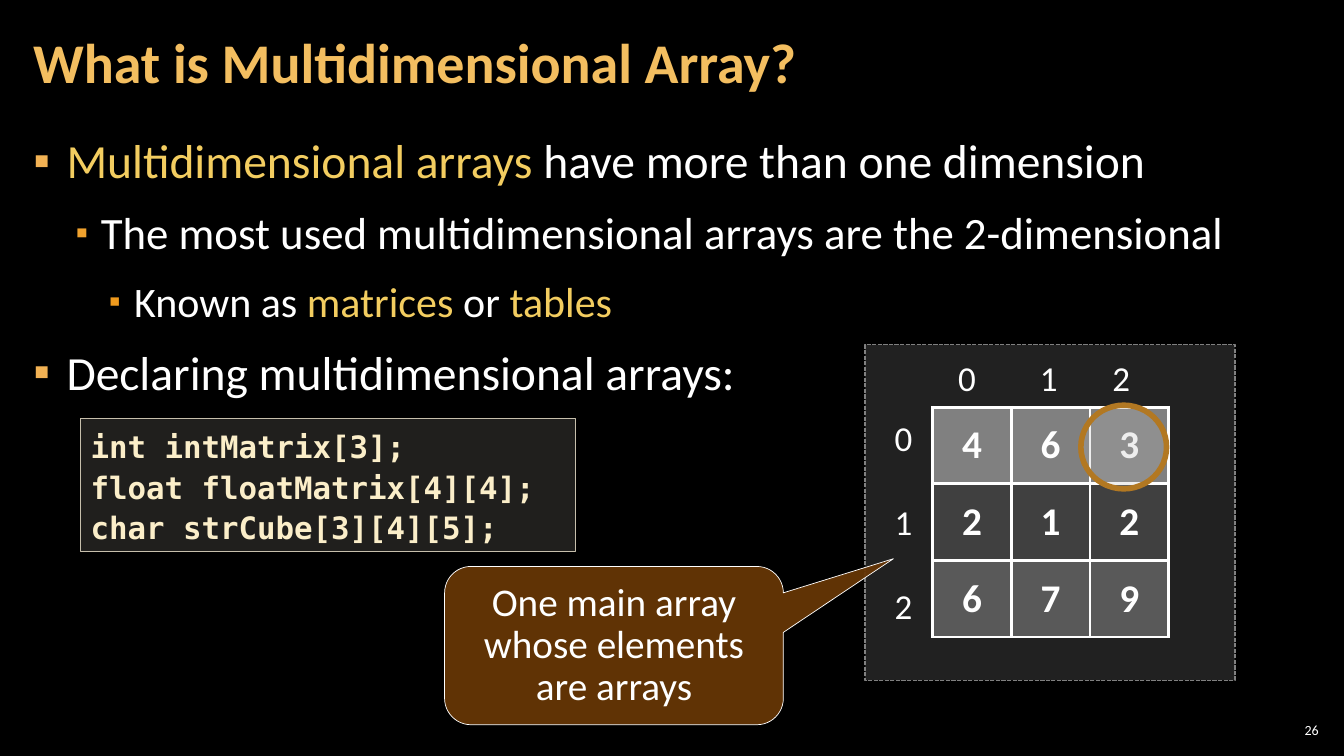
from lxml import etree
from pptx import Presentation
from pptx.dml.color import RGBColor
from pptx.enum.dml import MSO_LINE
from pptx.enum.shapes import MSO_SHAPE
from pptx.enum.text import MSO_ANCHOR, PP_ALIGN
from pptx.oxml import parse_xml
from pptx.oxml.ns import nsdecls, qn
from pptx.util import Inches, Pt

LEFT, CENTER, RIGHT = PP_ALIGN.LEFT, PP_ALIGN.CENTER, PP_ALIGN.RIGHT
TOP, MIDDLE = MSO_ANCHOR.TOP, MSO_ANCHOR.MIDDLE
WHITE, YELLOW = "FFFFFF", "F3CD60"


def rgb(color):
    return RGBColor.from_string(color)


def write(shape, lines, size, color=WHITE, font="Calibri", bold=False, align=LEFT,
          anchor=MIDDLE, inset=(0.1, 0.05), spacing=None):
    """Fill a shape; each line is a list of (text, color or None) runs."""
    frame = shape.text_frame
    frame.word_wrap = True
    frame.vertical_anchor = anchor
    frame.margin_left = frame.margin_right = Inches(inset[0])
    frame.margin_top = frame.margin_bottom = Inches(inset[1])
    for i, line in enumerate(lines):
        paragraph = frame.paragraphs[0] if i == 0 else frame.add_paragraph()
        paragraph.alignment = align
        if spacing:
            paragraph.line_spacing = spacing
        for text, run_color in line:
            run = paragraph.add_run()
            run.text = text
            run.font.name, run.font.size, run.font.bold = font, Pt(size), bold
            run.font.color.rgb = rgb(run_color or color)
    return frame


prs = Presentation()
prs.slide_width, prs.slide_height = Inches(13.33), Inches(7.5)
slide = prs.slides.add_slide(prs.slide_layouts[6])
slide.background.fill.solid()
slide.background.fill.fore_color.rgb = rgb("000000")
shapes = slide.shapes

# Title and slide number
title = shapes.add_textbox(Inches(0.21), Inches(0.04), Inches(10.47), Inches(1.21))
write(title, [[("What is Multidimensional Array?", "F3BE60")]], 40, bold=True,
      inset=(0.12, 0.04), spacing=0.9)
page_number = shapes.add_textbox(Inches(12.65), Inches(7.14), Inches(0.47), Inches(0.21))
write(page_number, [[("26", None)]], 10, align=RIGHT, inset=(0.04, 0.04))

# Bullet list
LEVELS = [  # left margin, hanging indent, bullet color, bullet percent, text size
    (0.33, 0.33, "F2B254", 100, 34),
    (0.67, 0.25, "F0A22E", 80, 32),
    (1.00, 0.25, "EF9A1D", 80, 30),
]
BULLETS = [
    (0, [("Multidimensional arrays", YELLOW), (" have more than one dimension", None)]),
    (1, [("The most used multidimensional arrays are the 2-dimensional", None)]),
    (2, [("Known as ", None), ("matrices", YELLOW), (" or ", None), ("tables", YELLOW)]),
    (0, [("Declaring multidimensional arrays:", None)]),
]
body = shapes.add_textbox(Inches(0.21), Inches(1.26), Inches(12.91), Inches(6.09))
body_frame = write(body, [runs for _, runs in BULLETS], 34, anchor=TOP, inset=(0.12, 0.04))
for i, (paragraph, (level, _)) in enumerate(zip(body_frame.paragraphs, BULLETS)):
    margin, hanging, bullet_color, percent, size = LEVELS[level]
    paragraph.level = level
    paragraph.space_after = Pt(6)
    if i:
        paragraph.space_before = Pt(6)
    props = paragraph._p.get_or_add_pPr()
    props.set("marL", str(Inches(margin)))
    props.set("indent", str(-Inches(hanging)))
    bullet_clr = etree.SubElement(props, qn("a:buClr"))
    etree.SubElement(bullet_clr, qn("a:srgbClr"), val=bullet_color)
    etree.SubElement(props, qn("a:buSzPct"), val=str(percent * 1000))
    etree.SubElement(props, qn("a:buFont"), typeface="Arial")
    etree.SubElement(props, qn("a:buChar"), char="▪")
    for run in paragraph.runs:
        run.font.size = Pt(size)

# Matrix panel, callout, matrix, highlight ring and code box
PANELS = {  # preset, box, fill, opacity percent, line color, line width
    "panel": (MSO_SHAPE.RECTANGLE, (8.58, 3.42, 3.67, 3.33), "A6A6A6", 20, "808080", 1),
    "callout": (MSO_SHAPE.ROUNDED_RECTANGULAR_CALLOUT, (4.41, 5.62, 3.36, 1.57),
                "663606", 95, WHITE, 0.5),
    "matrix": None,
    "ring": (MSO_SHAPE.OVAL, (10.72, 4.02, 0.85, 0.83), "BFBFBF", 25, "B27822", 4),
    "code": (MSO_SHAPE.RECTANGLE, (0.8, 4.15, 4.91, 1.32), "D9D5C7", 15, "C7BFAC", 1),
}
parts = {}
for part, style in PANELS.items():
    if style is None:
        parts[part] = shapes.add_table(3, 3, Inches(9.25), Inches(4.04),
                                       Inches(2.33), Inches(2.27))
        continue
    preset, box, fill, opacity, line, width = style
    shape = parts[part] = shapes.add_shape(preset, *[Inches(v) for v in box])
    shape.shadow.inherit = False
    shape.fill.solid()
    shape.fill.fore_color.rgb = rgb(fill)
    fill_color = shape._element.spPr.find(qn("a:solidFill"))[0]
    etree.SubElement(fill_color, qn("a:alpha"), val=str(opacity * 1000))
    shape.line.color.rgb = rgb(line)
    shape.line.width = Pt(width)

parts["panel"].line.dash_style = MSO_LINE.SQUARE_DOT
callout = parts["callout"]
for i, value in enumerate((0.825, -0.549, 0.167)):
    callout.adjustments[i] = value
write(callout, [[("One main array whose elements are arrays", None)]], 28,
      align=CENTER, inset=(0.1, 0.08), spacing=Pt(30))

CODE = ["int intMatrix[3];", "float floatMatrix[4][4];", "char strCube[3][4][5];"]
write(parts["code"], [[(line, None)] for line in CODE], 22, "FBEEC9",
      "DejaVu Sans Mono", bold=True, spacing=1.1)

# Matrix cells
MATRIX = [("808080", (4, 6, 3)), ("404040", (2, 1, 2)), ("595959", (6, 7, 9))]
matrix = parts["matrix"].table
for r, (row_fill, values) in enumerate(MATRIX):
    matrix.rows[r].height = Inches(0.76)
    matrix.columns[r].width = Inches(0.78)
    for c, value in enumerate(values):
        cell = matrix.cell(r, c)
        cell.vertical_anchor = MIDDLE
        paragraph = cell.text_frame.paragraphs[0]
        paragraph.alignment = CENTER
        run = paragraph.add_run()
        run.text = str(value)
        run.font.name, run.font.size, run.font.bold = "Calibri", Pt(28), True
        run.font.color.rgb = rgb(WHITE)
        cell_props = cell._tc.get_or_add_tcPr()
        for side in ("lnL", "lnR", "lnT", "lnB"):
            cell_props.append(parse_xml(
                f'<a:{side} {nsdecls("a")} w="{Pt(2.25)}"><a:solidFill>'
                f'<a:srgbClr val="{WHITE}"/></a:solidFill></a:{side}>'))
        cell.fill.solid()
        cell.fill.fore_color.rgb = rgb(row_fill)

# Column and row indexes, by center point
COLUMN_CENTERS = (9.59, 10.4, 11.12)
indexes = [(c, x, 3.74) for c, x in enumerate(COLUMN_CENTERS)]
indexes += [(r, 8.96, 4.34 + 0.835 * r) for r in range(3)]
for index, x, y in indexes:
    label = shapes.add_textbox(Inches(x - 0.21), Inches(y - 0.26), Inches(0.42), Inches(0.52))
    write(label, [[(str(index), None)]], 25, align=CENTER)

prs.save("out.pptx")
